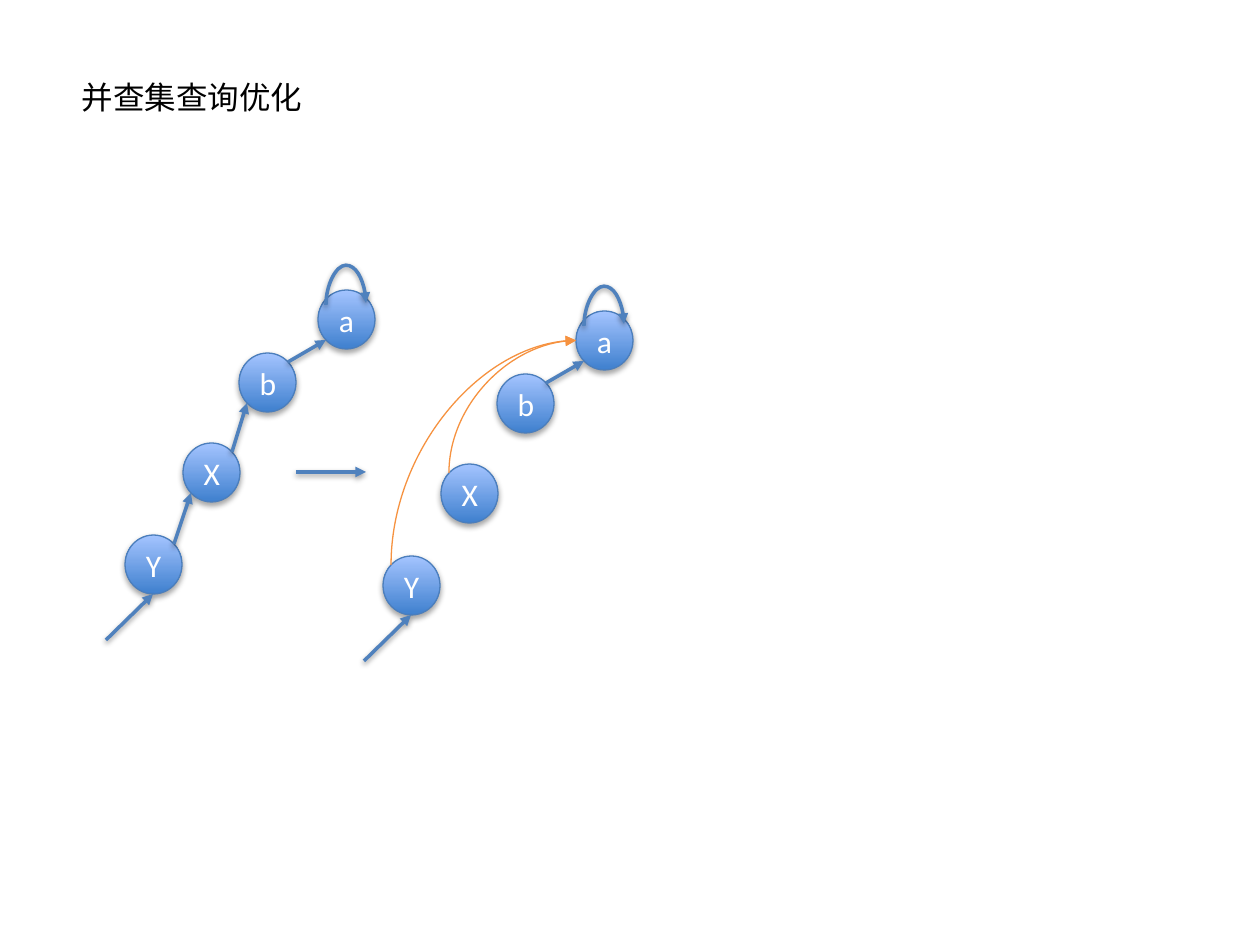
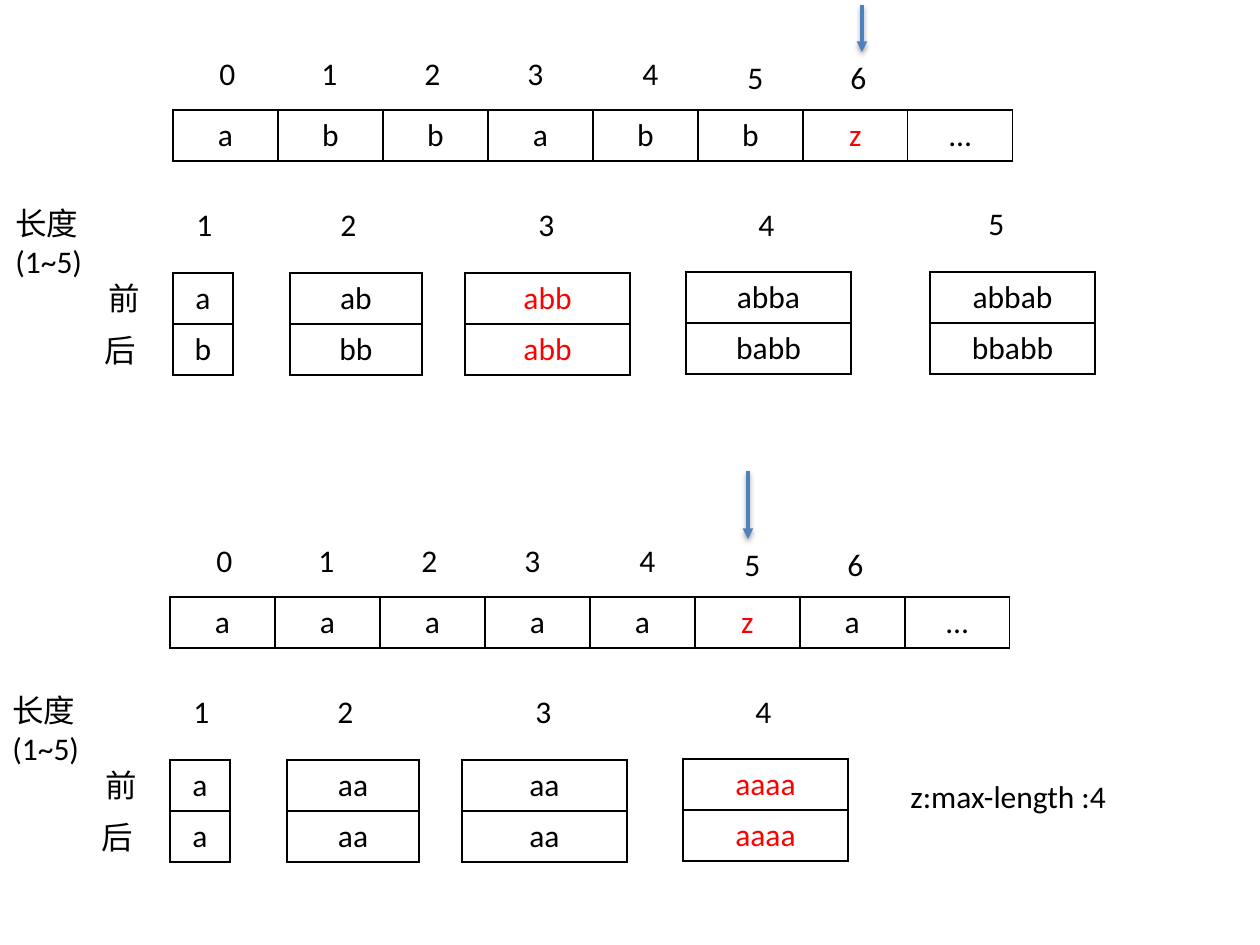
from itertools import pairwise

from lxml.etree import SubElement
from pptx import Presentation
from pptx.dml.color import RGBColor
from pptx.enum.shapes import MSO_CONNECTOR as CONNECTOR, MSO_SHAPE as SHAPE
from pptx.enum.text import MSO_ANCHOR as ANCHOR, PP_ALIGN as ALIGN
from pptx.oxml.ns import qn
from pptx.util import Inches, Pt

COLORS = {
    "text": "000000",
    "node_text": "FFFFFF",
    "highlight": "FF0000",
    "arrow": "4F81BD",
    "shortcut": "F69240",
    "node_dark": "3F80CE",
    "node_light": "A4C4FF",
    "node_line": "4B7EBC",
    "shadow": "000000",
    "border": "000000",
}
FONT = "Calibri"
FONT_SIZE = 18
SCALE = 914400 / 126
NODE_WIDTH, NODE_HEIGHT = 57, 59
INSET_X, INSET_Y = 8, 9
ROW_HEIGHT, CELL_WIDTH = 51, 105


def px(length):
    return round(length * SCALE)


def box(*lengths):
    return [px(length) for length in lengths]


def color(name):
    return RGBColor.from_string(COLORS[name])


def write(frame, text, color_name="text", align=ALIGN.LEFT):
    frame.text = text
    paragraph = frame.paragraphs[0]
    paragraph.alignment = align
    paragraph.font.name = FONT
    paragraph.font.size = Pt(FONT_SIZE)
    paragraph.font.bold = False
    paragraph.font.color.rgb = color(color_name)


def add_label(slide, text, left, top, width=38, wrap=True):
    shape = slide.shapes.add_textbox(*box(left, top, width, 50))
    shape.text_frame.word_wrap = wrap
    write(shape.text_frame, text)


def add_shadow(effects, distance, opacity):
    shadow = SubElement(effects, qn("a:outerShdw"), blurRad="40000", dist=str(distance),
                        dir="5400000", rotWithShape="0")
    tint = SubElement(shadow, qn("a:srgbClr"), val=COLORS["shadow"])
    SubElement(tint, qn("a:alpha"), val=str(opacity * 1000))


def style_line(connector, color_name="arrow", width=2, shadow=True):
    connector.line.color.rgb = color(color_name)
    connector.line.width = Pt(width)
    properties = connector._element.spPr
    SubElement(properties.find(qn("a:ln")), qn("a:tailEnd"), type="triangle")
    effects = SubElement(properties, qn("a:effectLst"))
    if shadow:
        add_shadow(effects, 20000, 38)


def add_arrow(slide, start, end):
    style_line(slide.shapes.add_connector(CONNECTOR.STRAIGHT, *box(*start, *end)))


def add_rising_curve(slide, start, end, rise=None, **line_style):
    across, up = end[0] - start[0], start[1] - end[1]
    left = (start[0] + end[0] - up) / 2
    top = (start[1] + end[1] - across) / 2
    connector = slide.shapes.add_connector(
        CONNECTOR.CURVE, *box(left, top, left + up, top + across))
    properties = connector._element.spPr
    transform = properties.find(qn("a:xfrm"))
    for key, value in {"rot": "5400000", "flipH": "1", "flipV": "1"}.items():
        transform.set(key, value)
    geometry = properties.find(qn("a:prstGeom"))
    if rise is None:
        geometry.set("prst", "curvedConnector2")
    else:
        SubElement(geometry.find(qn("a:avLst")), qn("a:gd"), name="adj1",
                   fmla=f"val {round(rise / up * 100000)}")
    style_line(connector, **line_style)


def add_node(slide, text, left, top):
    shape = slide.shapes.add_shape(SHAPE.OVAL, *box(left, top, NODE_WIDTH, NODE_HEIGHT))
    shape.fill.gradient()
    shape.fill.gradient_angle = 90
    for stop, name in zip(shape.fill.gradient_stops, ("node_dark", "node_light")):
        stop.color.rgb = color(name)
    shape.line.color.rgb = color("node_line")
    shape.line.width = Pt(0.75)
    shape.shadow.inherit = False
    add_shadow(shape._element.spPr.find(qn("a:effectLst")), 23000, 35)
    shape.text_frame.vertical_anchor = ANCHOR.MIDDLE
    write(shape.text_frame, text, "node_text", ALIGN.CENTER)


def add_tree(slide, left, top, compressed):
    offsets = {"Y": (19, 270), "X": (77, 178), "b": (133, 88), "a": (212, 25)}
    nodes = {name: (left + x, top + y) for name, (x, y) in offsets.items()}
    for name, corner in nodes.items():
        add_node(slide, name, *corner)

    root_x, root_y = nodes["a"]
    add_rising_curve(slide, (root_x + INSET_X, root_y + 15), (root_x + 48, root_y + 13), rise=40)
    links = list(pairwise(nodes.values()))
    for child, parent in links[-1:] if compressed else links:
        add_arrow(slide, (child[0] + NODE_WIDTH - INSET_X, child[1] + INSET_Y),
                  (parent[0] + INSET_X, parent[1] + NODE_HEIGHT - INSET_Y))
    add_arrow(slide, (left, top + 375), (left + 47, top + 329))
    if compressed:
        for name in "XY":
            x, y = nodes[name]
            add_rising_curve(slide, (x + INSET_X, y + INSET_Y),
                             (root_x, root_y + NODE_HEIGHT / 2),
                             color_name="shortcut", width=0.75, shadow=False)


def add_grid(slide, rows, left, top, column_width, is_highlighted):
    columns = len(rows[0])
    table = slide.shapes.add_table(
        len(rows), columns,
        *box(left, top, columns * column_width, len(rows) * ROW_HEIGHT)).table
    table.first_row = table.horz_banding = False
    for column in table.columns:
        column.width = px(column_width)
    for row, texts in zip(table.rows, rows):
        row.height = px(ROW_HEIGHT)
        for cell, text in zip(row.cells, texts):
            cell.vertical_anchor = ANCHOR.BOTTOM
            write(cell.text_frame, text, "highlight" if is_highlighted(text) else "text",
                  ALIGN.CENTER)
            properties = cell._tc.get_or_add_tcPr()
            for side in ("lnL", "lnR", "lnT", "lnB"):
                border = SubElement(properties, qn(f"a:{side}"), w=str(Pt(1)))
                fill = SubElement(border, qn("a:solidFill"))
                SubElement(fill, qn("a:srgbClr"), val=COLORS["border"])
            cell.fill.background()


def add_string_panel(slide, left, top, letters, pairs, matching_length, arrow_x, arrow_top):
    add_grid(slide, [letters], left + 170, top + 110, CELL_WIDTH, lambda text: text == "z")
    for index, x in enumerate((204, 306, 409, 512, 627, 732, 835)):
        add_label(slide, str(index), left + x, top + (48 if index < 5 else 52))
    add_arrow(slide, (left + arrow_x, top + arrow_top), (left + arrow_x, top + 52))

    add_label(slide, "长度(1~5)", left, top + 198, 110)
    add_label(slide, "前", left + 93, top + 273, 57, wrap=False)
    add_label(slide, "后", left + 89, top + 325, 57, wrap=False)
    columns = ((170, 60, 181), (287, 132, 325), (462, 165, 523), (683, 165, 743), (927, 165, 973))
    for length, (pair, (x, width, label_x)) in enumerate(zip(pairs, columns), 1):
        add_label(slide, str(length), left + label_x, top + (199 if length < 5 else 198))
        add_grid(slide, [[text] for text in pair], left + x, top + (273 if length < 4 else 272),
                 width, lambda text: length == matching_length)


def build_query_slide(presentation):
    slide = presentation.slides.add_slide(presentation.slide_layouts[5])
    title = slide.shapes.title
    title.left, title.top, title.width, title.height = box(69, 72, 248, 50)
    title.text_frame.word_wrap = False
    title.text_frame.vertical_anchor = ANCHOR.TOP
    write(title.text_frame, "并查集查询优化")
    add_tree(slide, 106, 265, compressed=False)
    add_tree(slide, 364, 286, compressed=True)
    add_arrow(slide, (296, 472), (366, 472))


def build_string_slide(presentation):
    slide = presentation.slides.add_slide(presentation.slide_layouts[6])
    add_string_panel(
        slide, 3, 0, "abbabbz…",
        [("a", "b"), ("ab", "bb"), ("abb", "abb"), ("abba", "babb"), ("abbab", "bbabb")],
        matching_length=3, arrow_x=859, arrow_top=5)
    add_string_panel(
        slide, 0, 487, "aaaaaza…",
        [("a", "a"), ("aa", "aa"), ("aa", "aa"), ("aaaa", "aaaa")],
        matching_length=4, arrow_x=748, arrow_top=-16)
    add_label(slide, "z:max-length :4", 898, 771, 223, wrap=False)


presentation = Presentation()
presentation.slide_width, presentation.slide_height = Inches(10), Inches(7.5)
build_query_slide(presentation)
build_string_slide(presentation)
presentation.save("out.pptx")
